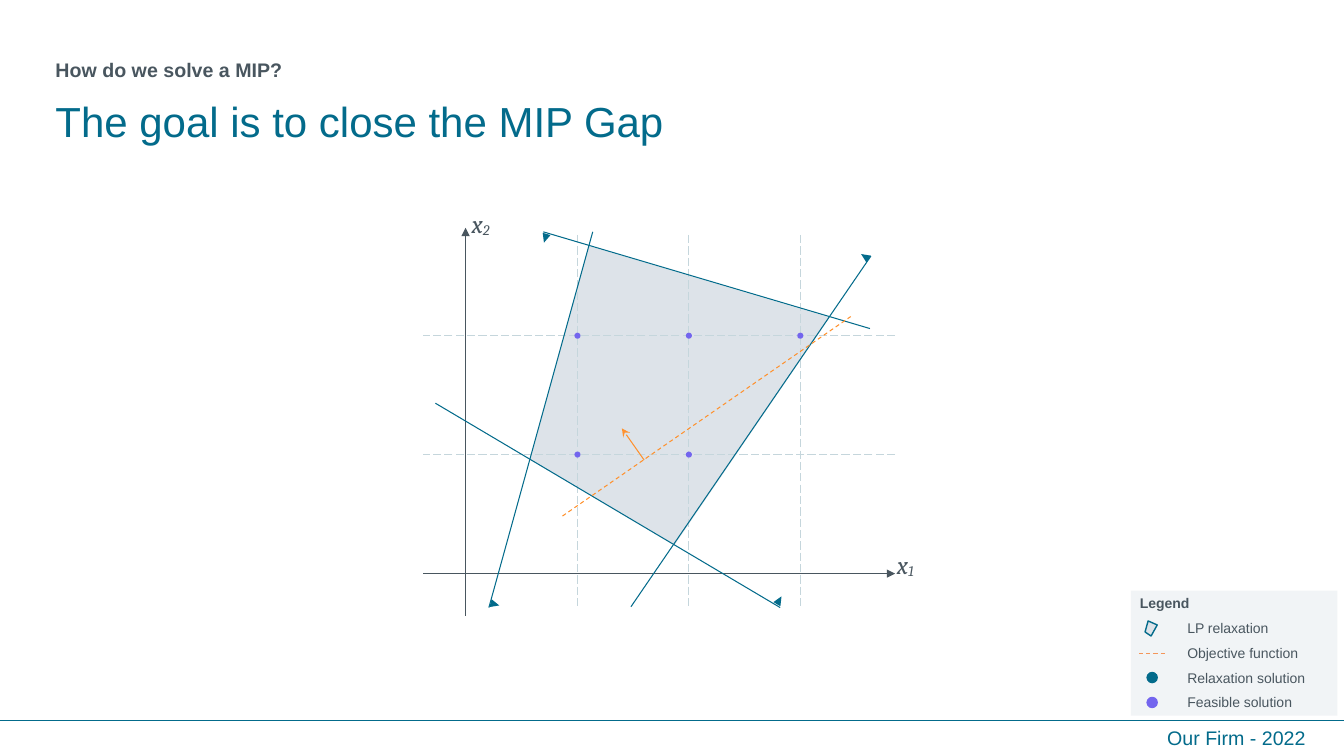
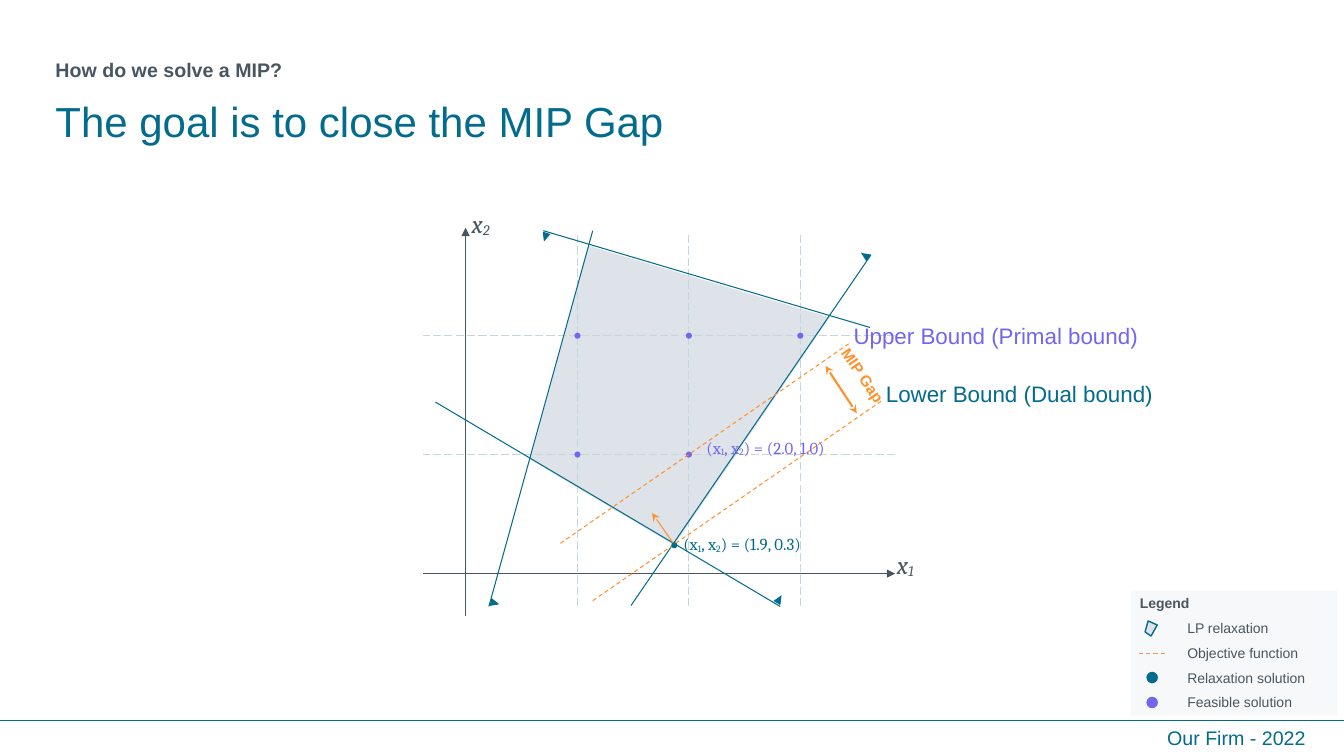
from dataclasses import dataclass
from itertools import product

from lxml.etree import SubElement as Sub
from pptx import Presentation
from pptx.dml.color import RGBColor
from pptx.enum.dml import MSO_LINE as Dash
from pptx.enum.shapes import MSO_CONNECTOR as Conn, MSO_SHAPE as Kind
from pptx.enum.text import MSO_ANCHOR as Anchor, MSO_AUTO_SIZE as Fit, PP_ALIGN as Align
from pptx.oxml.ns import qn
from pptx.slide import Slide
from pptx.util import Pt

TEAL, GRAY, MIST, PALE = "036B8B", "49565F", "DDE3E9", "C5D6DC"
VIOLET, ORANGE, CORAL = "7365EE", "FF912D", "F4965A"
COLS = [412.5 + 79.6 * i for i in range(3)]
ROWS = [239.8, 324.7]
REGION = [(420.5, 175.7), (592.6, 226.8), (481.7, 389.5), (378.7, 328.3)]
PATCH = [(820.1, 443.5), (826.6, 446.4), (822.2, 454.3), (817.9, 451.4)]
KEYS = ["LP relaxation", "Objective function", "Relaxation solution", "Feasible solution"]

Spot = tuple[float, float]
Box = tuple[float, float, float, float]


@dataclass(frozen=True)
class Font:
    """Hold the look of a text."""

    size: float
    color: str
    name: str = "Arial"
    bold: bool = False
    slant: bool = False


@dataclass(frozen=True)
class Rule:
    """Hold a constraint line and the mark on its feasible side."""

    start: Spot
    end: Spot
    mark: Spot
    turn: float


RULES = [
    Rule((349.2, 434), (423.4, 165.6), (350.6, 428.4), 104.9),
    Rule((621.4, 234.7), (388.1, 165.6), (386.6, 167), 196.8),
    Rule((622.1, 182.9), (450.7, 433.4), (614.9, 180), 303.8),
    Rule((311, 288), (557.3, 434), (553.7, 425.5), 30.7),
]


def rgb(code: str) -> RGBColor:
    """Turn a hex string into a colour."""
    return RGBColor.from_string(code)


def style(run, font: Font) -> None:
    """Apply a font to a run."""
    face = run.font
    face.name, face.size = font.name, Pt(font.size)
    face.bold, face.italic = font.bold, font.slant
    face.color.rgb = rgb(font.color)


def paint(shape, fill: str, edge: str = "") -> None:
    """Fill a shape and draw or drop its outline."""
    shape.shadow.inherit = False
    shape.fill.solid()
    shape.fill.fore_color.rgb = rgb(fill)
    if edge:
        shape.line.color.rgb = rgb(edge)
        shape.line.width = Pt(1)
    else:
        shape.line.fill.background()


def form(page: Slide, kind: Kind, box: Box, fill: str, edge: str = ""):
    """Add a preset shape."""
    shape = page.shapes.add_shape(kind, *map(Pt, box))
    paint(shape, fill, edge)
    return shape


def dot(page: Slide, mid: Spot, size: float, fill: str, edge: str = "") -> None:
    """Add a disc around its centre."""
    form(page, Kind.OVAL, (mid[0] - size / 2, mid[1] - size / 2, size, size), fill, edge)


def patch(page: Slide, spots: list[Spot], edge: str = "") -> None:
    """Add a closed polygon."""
    pts = [(Pt(x), Pt(y)) for x, y in spots]
    pen = page.shapes.build_freeform(*pts[0])
    pen.add_line_segments(pts[1:], close=True)
    paint(pen.convert_to_shape(), MIST, edge)


def line(page: Slide, start: Spot, end: Spot, color: str, width: float = 0.75,
         dash: Dash | None = None, head: str = "", tail: str = "") -> None:
    """Add a straight line with optional dashes and arrowheads."""
    link = page.shapes.add_connector(Conn.STRAIGHT, *map(Pt, start + end))
    link.line.color.rgb = rgb(color)
    link.line.width = Pt(width)
    if dash:
        link.line.dash_style = dash
    for tag, tip in (("a:headEnd", head), ("a:tailEnd", tail)):
        if tip:
            Sub(link.line._get_or_add_ln(), qn(tag)).set("type", tip)
    Sub(link._element.spPr, qn("a:effectLst"))


def text(page: Slide, box: Box, words: str, font: Font):
    """Add a wrapped text box."""
    shape = page.shapes.add_textbox(*map(Pt, box))
    frame = shape.text_frame
    frame.word_wrap = True
    frame.text = words
    style(frame.paragraphs[0].runs[0], font)
    return shape


def maths(page: Slide, box: Box, parts: list[str], font: Font) -> None:
    """Add a text box whose every second part is a subscript."""
    para = text(page, box, parts[0], font).text_frame.paragraphs[0]
    for i, part in enumerate(parts[1:], 1):
        run = para.add_run()
        run.text = part
        style(run, font)
        if i % 2:
            run._r.get_or_add_rPr().set("baseline", "-8000")


def point(page: Slide, spot: Spot, pair: str, color: str) -> None:
    """Label a solution with its coordinates."""
    maths(page, spot + (120, 20), ["(x", "1", ", x", "2", f") = ({pair})"],
          Font(12, color, "Cambria"))


def holder(shape, box: Box, words: str, font: Font, anchor: Anchor) -> None:
    """Place and format a placeholder."""
    shape.left, shape.top, shape.width, shape.height = map(Pt, box)
    frame = shape.text_frame
    frame.text = words
    frame.auto_size, frame.vertical_anchor = Fit.NONE, anchor
    para = frame.paragraphs[0]
    para.alignment, para.line_spacing, para.space_before = Align.LEFT, 0.9, Pt(0)
    props = para._p.get_or_add_pPr()
    props.set("marL", "0")
    props.set("indent", "0")
    Sub(props, qn("a:buNone"))
    style(para.runs[0], font)


def goal(page: Slide, x: float, y: float, arrow: bool = True) -> None:
    """Draw a level line of the objective and its direction."""
    line(page, (x, y), (x + 205.9, y - 142.5), ORANGE, dash=Dash.DASH)
    if arrow:
        line(page, (x + 58.3, y - 40), (x + 42.4, y - 62.6), ORANGE, tail="stealth")


def legend(page: Slide, alpha: int) -> None:
    """Draw the legend on a see-through panel."""
    panel = form(page, Kind.RECTANGLE, (807.8, 421.9, 147.6, 89.3), MIST)
    tint = panel._element.spPr.find(qn("a:solidFill"))[0]
    Sub(tint, qn("a:alpha")).set("val", str(alpha * 1000))
    text(page, (807.1, 421.2, 133, 19.4), "Legend", Font(10, GRAY, bold=True))
    for i, key in enumerate(KEYS):
        text(page, (841, 439.2 + 17.6 * i, 114, 19.4), key, Font(10, GRAY))
    patch(page, PATCH, TEAL)
    line(page, (813.6, 466.6), (833.8, 466.6), CORAL, dash=Dash.DASH)
    dot(page, (823, 484), 7.2, TEAL, TEAL)
    dot(page, (823, 501.8), 7.2, VIOLET, VIOLET)


def plot(page: Slide, lift: float) -> None:
    """Draw the region, grid, axes, constraints and feasible points."""
    patch(page, REGION)
    for x in COLS:
        line(page, (x, 167.8), (x, 434), PALE, dash=Dash.LONG_DASH)
    for y in ROWS:
        line(page, (639.4, y), (302.4, y), PALE, dash=Dash.LONG_DASH)
    line(page, (302.4, 409.7), (639.4, 409.7), GRAY, tail="triangle")
    line(page, (332.6, 440), (332.6, 162.7), GRAY, tail="triangle")
    for spot, sub in (((329.8, 145.4), "2"), ((633.6, 388.8), "1")):
        maths(page, spot + (40, 25.2), ["x", sub], Font(18, GRAY, "Cambria", slant=True))
    for rule in RULES:
        (ax, ay), (bx, by), (mx, my) = rule.start, rule.end, rule.mark
        line(page, (ax, ay - lift), (bx, by - lift), TEAL)
        mark = form(page, Kind.ISOSCELES_TRIANGLE, (mx, my - lift, 5.8, 6.5), TEAL)
        mark.rotation = rule.turn
    for spot in list(product(COLS, ROWS))[:-1]:
        dot(page, spot, 4.3, VIOLET)


def start(deck, alpha: int, lift: float) -> Slide:
    """Add a slide with the shared titles, plot, legend and footer."""
    page = deck.slides.add_slide(deck.slide_layouts[1])
    holder(page.shapes.title, (32.4, 64.8, 828, 47.5),
           "The goal is to close the MIP Gap", Font(30, TEAL), Anchor.MIDDLE)
    holder(page.placeholders[1], (32.4, 39.6, 434, 18),
           "How do we solve a MIP?", Font(14, GRAY, bold=True), Anchor.TOP)
    plot(page, lift)
    legend(page, alpha)
    line(page, (0, 514.8), (960, 514.8), TEAL)
    text(page, (826.6, 514.8, 128, 24.5), "Our Firm - 2022", Font(14, TEAL))
    return page


def bounds(page: Slide) -> None:
    """Draw both bounds, their gap and their solutions."""
    goal(page, 400.3, 388.1, arrow=False)
    goal(page, 423.4, 429.1)
    dot(page, (481.7, 389.5), 4.3, TEAL)
    line(page, (589.7, 261.4), (612, 295.2), ORANGE, 1.5, head="stealth", tail="stealth")
    gap = text(page, (578.9, 254.9, 64, 33.8), "MIP Gap", Font(11, ORANGE, bold=True))
    gap.text_frame.paragraphs[0].alignment = Align.CENTER
    gap.rotation = 55.3
    text(page, (602.6, 226.8, 300, 26.6), "Upper Bound (Primal bound)", Font(16, VIOLET))
    text(page, (625.7, 267.8, 258, 26.6), "Lower Bound (Dual bound)", Font(16, TEAL))
    point(page, (497.5, 308.9), "2.0, 1.0", VIOLET)
    point(page, (481, 378), "1.9, 0.3", TEAL)


def main() -> None:
    """Build and save the deck."""
    deck = Presentation()
    deck.slide_width, deck.slide_height = Pt(960), Pt(540)
    goal(start(deck, 39, 0), 401.8, 368.6)
    bounds(start(deck, 22, 0.8))
    deck.save("out.pptx")


if __name__ == "__main__":
    main()
